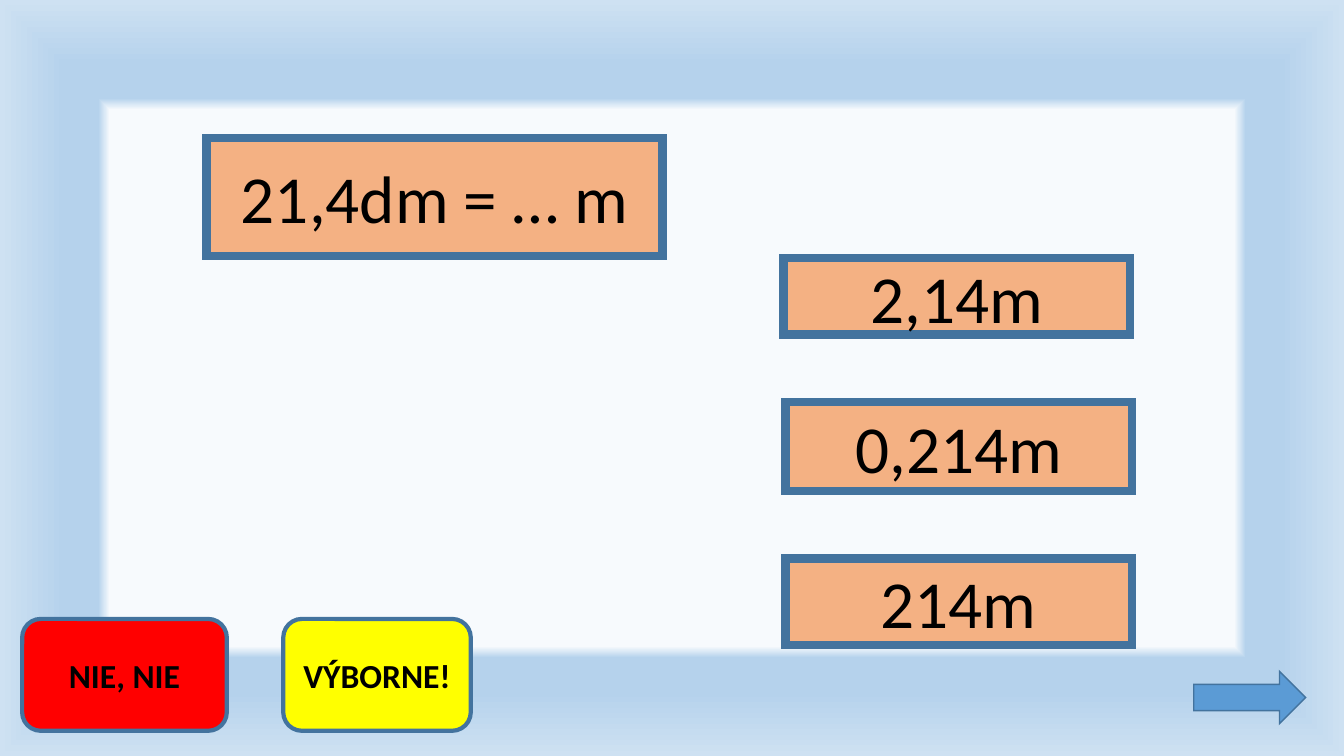
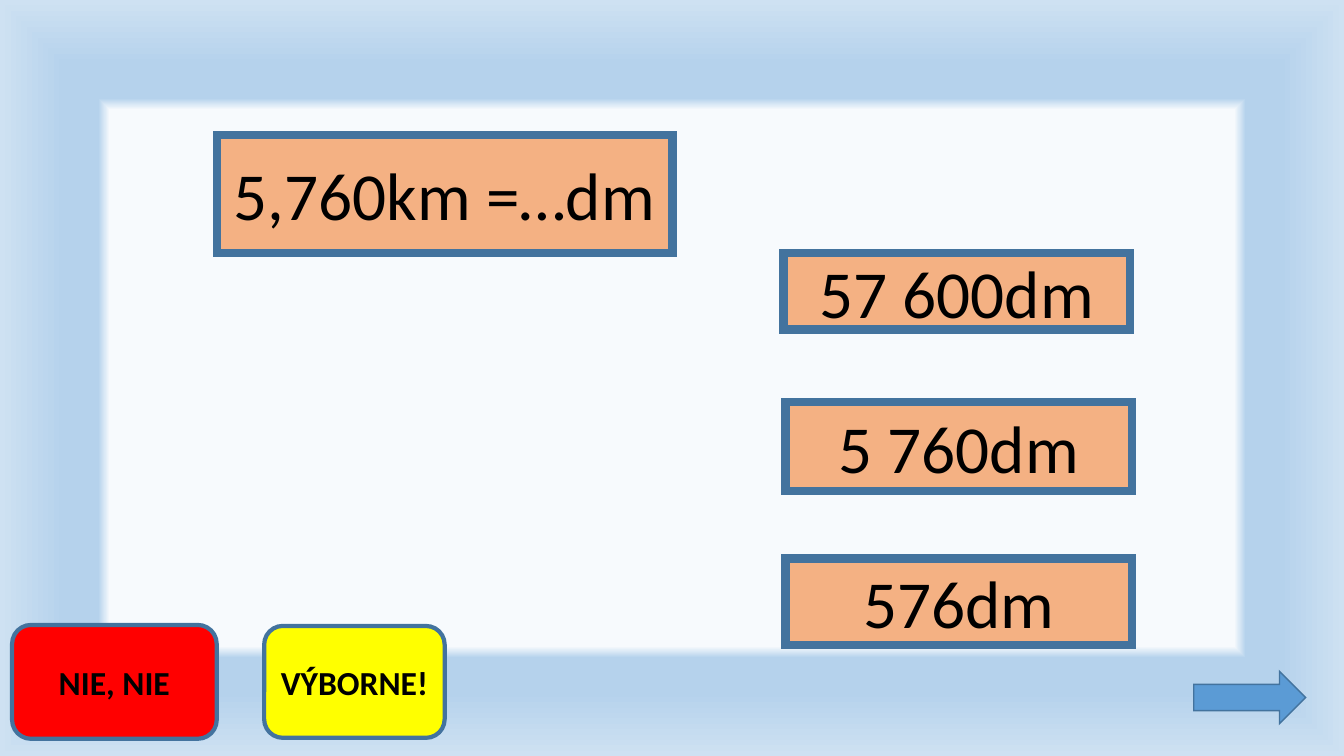
from dataclasses import dataclass

from lxml import etree
from pptx import Presentation
from pptx import util as u
from pptx.dml.color import RGBColor
from pptx.enum import shapes, text
from pptx.oxml import ns, parse_xml

# Shared look
WIDTH, HEIGHT = 13.33, 7.5
FONT = "Calibri"
BLACK = RGBColor(0x00, 0x00, 0x00)
OUTLINE = RGBColor(0x43, 0x73, 0x9E)
PEACH = RGBColor(0xF4, 0xB1, 0x83)
RED = RGBColor(0xFF, 0x00, 0x00)
YELLOW = RGBColor(0xFF, 0xFF, 0x00)
BLUE = RGBColor(0x5B, 0x9B, 0xD5)
FRAME_STOPS = (
    (71, RGBColor(0xF7, 0xFA, 0xFD)),
    (74, RGBColor(0xB5, 0xD2, 0xEC)),
    (83, RGBColor(0xB5, 0xD2, 0xEC)),
    (100, RGBColor(0xCE, 0xE1, 0xF2)),
)
RECTANGLE = shapes.MSO_SHAPE.RECTANGLE
ROUNDED = shapes.MSO_SHAPE.ROUNDED_RECTANGLE
ARROW = shapes.MSO_SHAPE.RIGHT_ARROW
TITLE_ONLY = 5


@dataclass(frozen=True)
class Box:
    left: float
    top: float
    width: float
    height: float

    def lengths(self) -> tuple:
        return tuple(u.Inches(x) for x in
                     (self.left, self.top, self.width, self.height))


@dataclass(frozen=True)
class Look:
    fill: RGBColor
    line_width: float
    size: int = 48
    bold: bool = False


@dataclass(frozen=True)
class Exercise:
    question: str
    question_box: Box
    answers: tuple[str, str, str]
    first_answer_top: float
    wrong_box: Box
    right_box: Box


CARD = Look(PEACH, 6)
WRONG = Look(RED, 3, 24, True)
RIGHT = Look(YELLOW, 3, 24, True)
NEXT = Look(BLUE, 1)
NEXT_BOX = Box(11.84, 6.66, 1.11, 0.52)

EXERCISES = (
    Exercise("21,4dm = … m", Box(2.05, 1.37, 4.52, 1.17),
             ("2,14m", "0,214m", "214m"), 2.56,
             Box(0.22, 6.14, 2.03, 1.11), Box(2.81, 6.14, 1.86, 1.11)),
    Exercise("5,760km =…dm", Box(2.15, 1.34, 4.52, 1.17),
             ("57 600dm", "5 760dm", "576dm"), 2.51,
             Box(0.12, 6.2, 2.03, 1.13), Box(2.62, 6.21, 1.79, 1.11)),
)


def set_background(master) -> None:
    """Give every slide the soft blue frame."""
    stops = "".join(
        f'<a:gs pos="{share * 1000}"><a:srgbClr val="{color}"/></a:gs>'
        for share, color in FRAME_STOPS)
    background = parse_xml(
        f'<p:bg {ns.nsdecls("p", "a")}><p:bgPr><a:gradFill rotWithShape="1">'
        f'<a:gsLst>{stops}</a:gsLst><a:path path="shape">'
        '<a:fillToRect l="50000" t="50000" r="50000" b="50000"/></a:path>'
        '</a:gradFill><a:effectLst/></p:bgPr></p:bg>')
    content = master.element.cSld
    for old in content.findall(ns.qn("p:bg")):
        content.remove(old)
    content.insert(0, background)


def paint(shape, look: Look, words: str = "") -> None:
    """Fill and outline a shape, then centre its words."""
    shape.fill.solid()
    shape.fill.fore_color.rgb = look.fill
    shape.line.color.rgb = OUTLINE
    shape.line.width = u.Pt(look.line_width)
    outline = shape._element.spPr.find(ns.qn("a:ln"))
    etree.SubElement(outline, ns.qn("a:miter"), lim="800000")
    if not words:
        return
    frame = shape.text_frame
    frame.word_wrap = True
    frame.auto_size = text.MSO_AUTO_SIZE.NONE
    frame.vertical_anchor = text.MSO_ANCHOR.MIDDLE
    paragraph = frame.paragraphs[0]
    paragraph.alignment = text.PP_ALIGN.CENTER
    run = paragraph.add_run()
    run.text = words
    run.font.name = FONT
    run.font.size = u.Pt(look.size)
    run.font.bold = look.bold
    run.font.color.rgb = BLACK


def add_box(slide, kind, box: Box, look: Look, words: str = "") -> None:
    shape = slide.shapes.add_shape(kind, *box.lengths())
    shape.shadow.inherit = False
    paint(shape, look, words)


def add_exercise(presentation, exercise: Exercise) -> None:
    slide = presentation.slides.add_slide(
        presentation.slide_layouts[TITLE_ONLY])

    # Question
    title = slide.shapes.title
    title.left, title.top, title.width, title.height = (
        exercise.question_box.lengths())
    paint(title, CARD, exercise.question)

    # Answers
    answer_boxes = (Box(7.77, exercise.first_answer_top, 3.44, 0.76),
                    Box(7.79, 3.99, 3.44, 0.88),
                    Box(7.79, 5.54, 3.44, 0.86))
    for box, answer in zip(answer_boxes, exercise.answers):
        add_box(slide, RECTANGLE, box, CARD, answer)

    # Feedback and next arrow
    add_box(slide, ROUNDED, exercise.wrong_box, WRONG, "NIE, NIE")
    add_box(slide, ROUNDED, exercise.right_box, RIGHT, "VÝBORNE!")
    add_box(slide, ARROW, NEXT_BOX, NEXT)


def main() -> None:
    presentation = Presentation()
    presentation.slide_width = u.Inches(WIDTH)
    presentation.slide_height = u.Inches(HEIGHT)
    set_background(presentation.slide_master)
    for exercise in EXERCISES:
        add_exercise(presentation, exercise)
    presentation.save("out.pptx")


if __name__ == "__main__":
    main()
